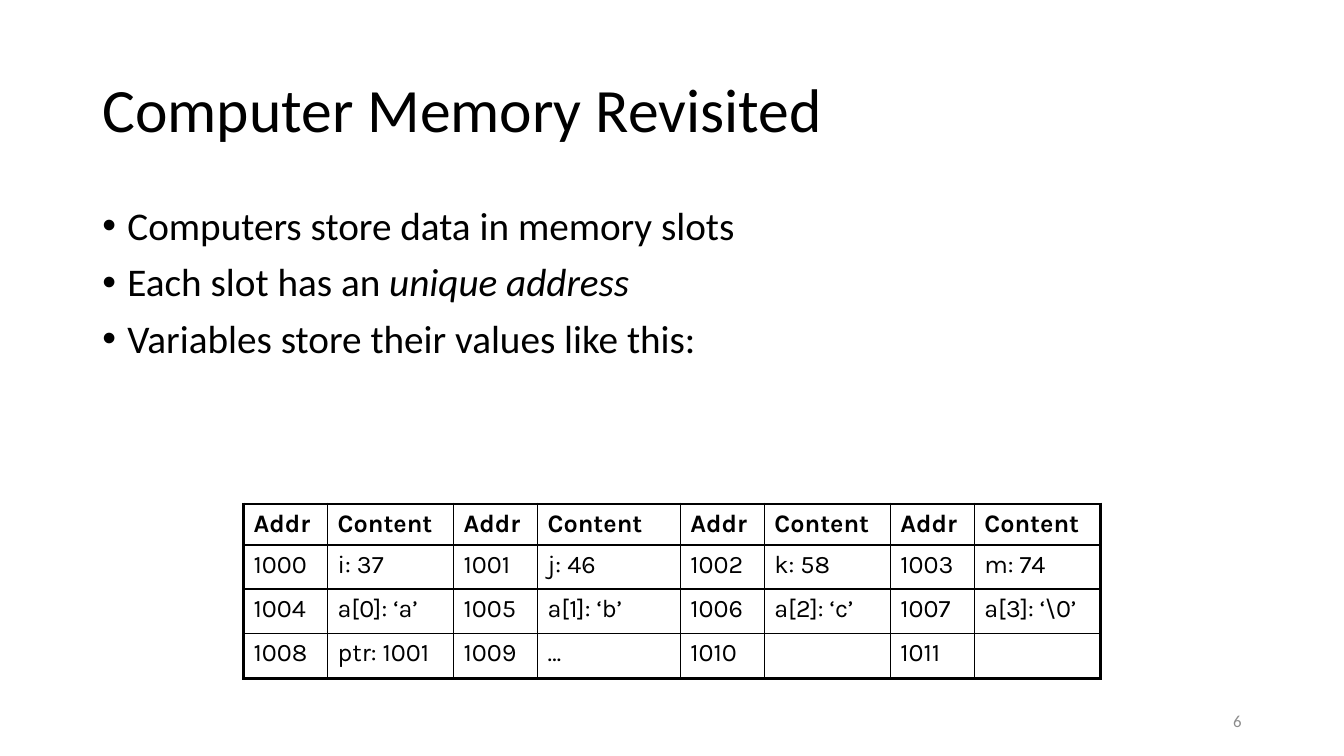
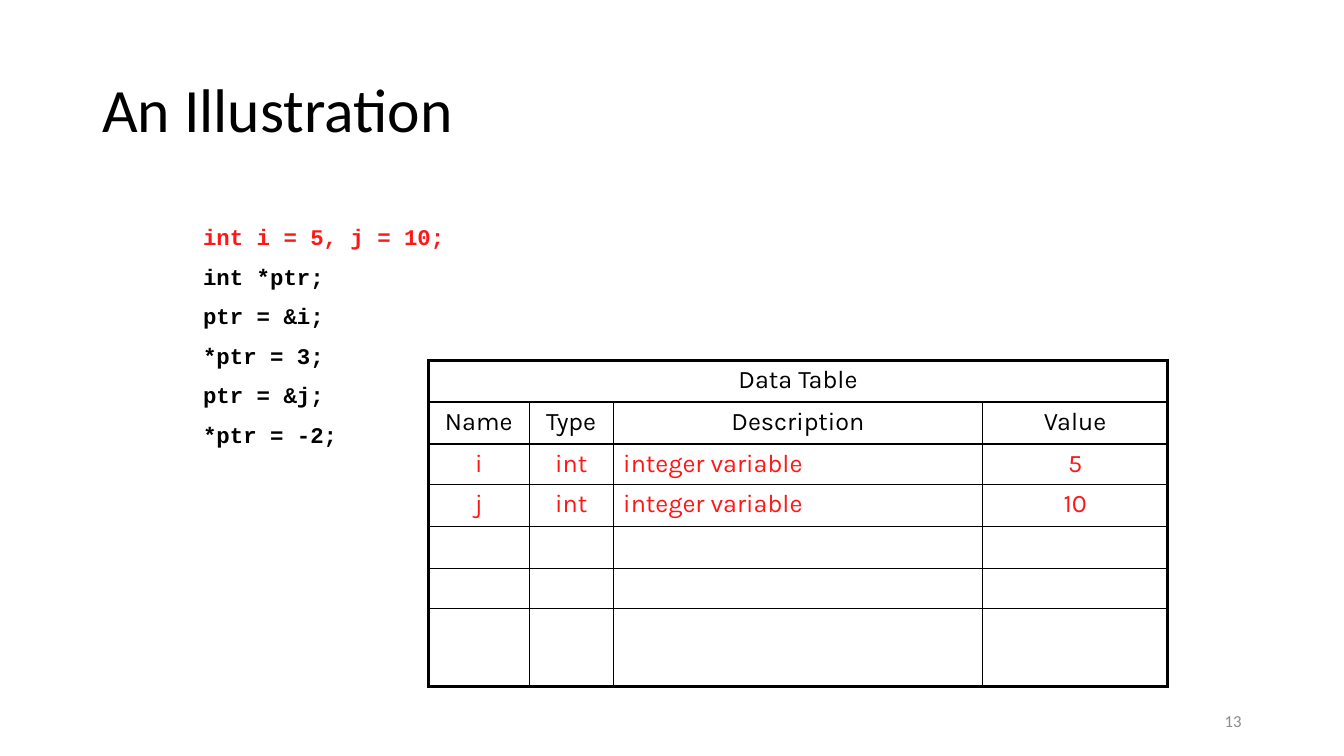
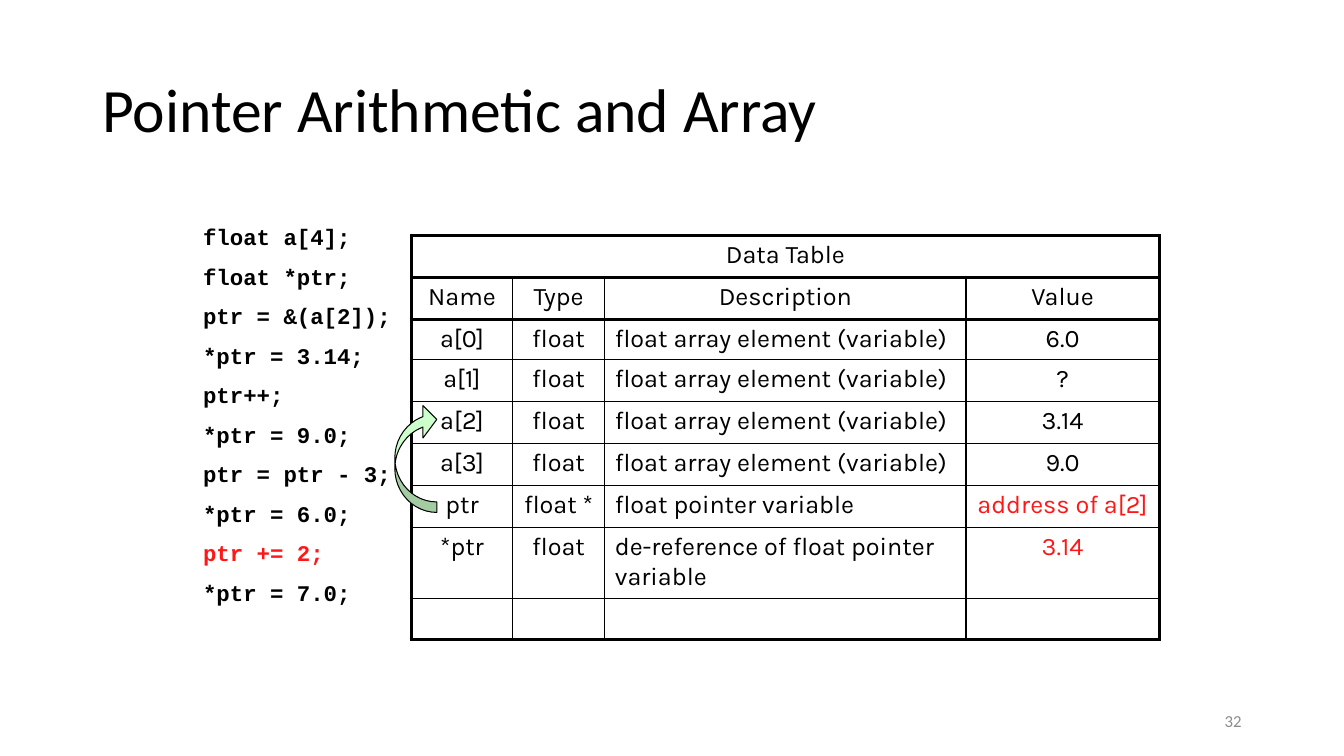
from dataclasses import dataclass

from lxml import etree
from pptx import Presentation
from pptx.dml.color import RGBColor
from pptx.enum.shapes import MSO_SHAPE
from pptx.enum.text import MSO_ANCHOR, PP_ALIGN
from pptx.oxml.ns import qn
from pptx.util import Pt

PX = 9525
TOP, MIDDLE = MSO_ANCHOR.TOP, MSO_ANCHOR.MIDDLE
LEFT, CENTER, RIGHT = PP_ALIGN.LEFT, PP_ALIGN.CENTER, PP_ALIGN.RIGHT
CURVED_ARROW = MSO_SHAPE.CURVED_LEFT_ARROW


@dataclass(frozen=True)
class Theme:
    """Text styles are (font, size, bold); line widths are points."""
    ink: str = "000000"
    accent: str = "FF1717"
    muted: str = "8C8C8C"
    mint: str = "CCFFCC"
    title: tuple = ("Calibri", 44, False)
    body: tuple = ("Calibri", 28, False)
    number: tuple = ("Calibri", 12, False)
    code: tuple = ("Courier New", 16, True)
    cell: tuple = ("Karla", 18, False)
    heading: tuple = ("Karla", 18, True)
    thick: float = 2.25
    thin: float = 1
    outline: float = 0.75


THEME = Theme()


def add_box(slide, place, anchor=TOP):
    """Add an empty wrapping text box and return its text frame."""
    box = slide.shapes.add_textbox(*[length * PX for length in place])
    box.text_frame.word_wrap = True
    box.text_frame.vertical_anchor = anchor
    return box.text_frame


def add_span(paragraph, text, style, color=THEME.ink, italic=False):
    span = paragraph.add_run()
    span.text = text
    span.font.name, size, span.font.bold = style
    span.font.size = Pt(size)
    span.font.italic = italic
    span.font.color.rgb = RGBColor.from_string(color)


DATA_HEADER = [["Data Table", "", "", ""], ["Name", "Type", "Description", "Value"]]
FLOAT_ELEMENT = ["float", "float array element (variable)"]

PAGES = [
    {
        "title": "Computer Memory Revisited",
        "number": 6,
        "bullets": [
            ["Computers store data in memory slots"],
            ["Each slot has an ", "unique address"],
            ["Variables store their values like this:"],
        ],
        "code": [],
        "origin": (232, 480),
        "columns": [80, 120, 80, 136, 80, 120, 80, 120],
        "rows": [39, 42, 42, 43],
        "header_rows": 1,
        "cells": [
            ["Addr", "Content"] * 4,
            ["1000", "i: 37", "1001", "j: 46", "1002", "k: 58", "1003", "m: 74"],
            ["1004", "a[0]: ‘a’", "1005", "a[1]: ‘b’",
             "1006", "a[2]: ‘c’", "1007", "a[3]: ‘\\0’"],
            ["1008", "ptr: 1001", "1009", "…", "1010", "", "1011", ""],
        ],
        "red_cells": [],
    },
    {
        "title": "An Illustration",
        "number": 13,
        "bullets": [],
        "code": ["int i = 5, j = 10;", "int *ptr;", "ptr = &i;", "*ptr = 3;",
                 "ptr = &j;", "*ptr = -2;"],
        "red_line": 0,
        "origin": (408, 343),
        "columns": [96, 80, 352, 176],
        "rows": [40, 40, 38, 40, 40, 38, 74],
        "header_rows": 2,
        "cells": [
            *DATA_HEADER,
            ["i", "int", "integer variable", "5"],
            ["j", "int", "integer variable", "10"],
            *[[""] * 4] * 3,
        ],
        "red_cells": [(row, column) for row in (2, 3) for column in range(4)],
    },
    {
        "title": "Pointer Arithmetic and Array",
        "number": 32,
        "bullets": [],
        "code": ["float a[4];", "float *ptr;", "ptr = &(a[2]);", "*ptr = 3.14;",
                 "ptr++;", "*ptr = 9.0;", "ptr = ptr - 3;", "*ptr = 6.0;",
                 "ptr += 2;", "*ptr = 7.0;"],
        "red_line": 8,
        "origin": (392, 224),
        "columns": [96, 88, 344, 184],
        "rows": [40, 40, 38, 40, 40, 40, 40, 68, 38],
        "header_rows": 2,
        "cells": [
            *DATA_HEADER,
            ["a[0]", *FLOAT_ELEMENT, "6.0"],
            ["a[1]", *FLOAT_ELEMENT, "?"],
            ["a[2]", *FLOAT_ELEMENT, "3.14"],
            ["a[3]", *FLOAT_ELEMENT, "9.0"],
            ["ptr", "float *", "float pointer variable", "address of a[2]"],
            ["*ptr", "float", "de-reference of float pointer variable", "3.14"],
            [""] * 4,
        ],
        "red_cells": [(6, 3), (7, 3)],
    },
]

deck = Presentation()
deck.slide_width, deck.slide_height = 1280 * PX, 720 * PX

for page in PAGES:
    slide = deck.slides.add_slide(deck.slide_layouts[6])

    title = add_box(slide, (88, 38, 1104, 139), MIDDLE).paragraphs[0]
    title.line_spacing = 0.9
    add_span(title, page["title"], THEME.title)

    number = add_box(slide, (904, 667, 288, 38), MIDDLE).paragraphs[0]
    number.alignment = RIGHT
    add_span(number, str(page["number"]), THEME.number, THEME.muted)

    if page["bullets"]:
        frame = add_box(slide, (88, 192, 1104, 457))
        for index, spans in enumerate(page["bullets"]):
            paragraph = frame.add_paragraph() if index else frame.paragraphs[0]
            properties = paragraph._p.get_or_add_pPr()
            properties.set("marL", str(24 * PX))
            properties.set("indent", str(-24 * PX))
            etree.SubElement(properties, qn("a:buFont"), typeface="Arial")
            etree.SubElement(properties, qn("a:buChar"), char="•")
            paragraph.line_spacing = 0.9
            paragraph.space_before = Pt(10 if index else 0)
            for position, text in enumerate(spans):
                add_span(paragraph, text, THEME.body, italic=position == 1)

    if page["code"]:
        frame = add_box(slide, (184, 208, 896, 38 * len(page["code"])))
        for index, text in enumerate(page["code"]):
            paragraph = frame.add_paragraph() if index else frame.paragraphs[0]
            paragraph.space_before = Pt(9 if index else 0)
            color = THEME.accent if index == page["red_line"] else THEME.ink
            add_span(paragraph, text, THEME.code, color)

    columns, rows, header_rows = page["columns"], page["rows"], page["header_rows"]
    left, top = page["origin"]
    table = slide.shapes.add_table(
        len(rows), len(columns),
        left * PX, top * PX, sum(columns) * PX, sum(rows) * PX).table
    table.first_row = table.horz_banding = False
    for column, width in zip(table.columns, columns):
        column.width = width * PX
    for row, height in zip(table.rows, rows):
        row.height = height * PX
    is_data_table = header_rows == 2
    if is_data_table:
        table.cell(0, 0).merge(table.cell(0, len(columns) - 1))

    for row, texts in enumerate(page["cells"]):
        for column, text in enumerate(texts):
            cell = table.cell(row, column)
            cell.fill.background()
            is_header = row < header_rows
            paragraph = cell.text_frame.paragraphs[0]
            centered = is_data_table and (is_header or column != 2)
            paragraph.alignment = CENTER if centered else LEFT
            style = THEME.heading if is_header and not is_data_table else THEME.cell
            is_red = (row, column) in page["red_cells"]
            add_span(paragraph, text, style, THEME.accent if is_red else THEME.ink)

            thick_edges = {
                "a:lnL": column == 0,
                "a:lnR": column == len(columns) - 1 or cell.is_merge_origin,
                "a:lnT": row <= header_rows,
                "a:lnB": is_header or row == len(rows) - 1,
            }
            for position, (edge, is_thick) in enumerate(thick_edges.items()):
                width = Pt(THEME.thick if is_thick else THEME.thin)
                line = etree.Element(qn(edge), w=str(width))
                fill = etree.SubElement(line, qn("a:solidFill"))
                etree.SubElement(fill, qn("a:srgbClr"), val=THEME.ink)
                cell._tc.get_or_add_tcPr().insert(position, line)

# The last slide's arrow leads from ptr to the element it points at.
arrow = slide.shapes.add_shape(CURVED_ARROW, 376 * PX, 384 * PX, 40 * PX, 104 * PX)
arrow.rotation = 180
for index, adjustment in enumerate((0.25, 0.77, 0.33)):
    arrow.adjustments[index] = adjustment
arrow.shadow.inherit = False
arrow.fill.solid()
arrow.fill.fore_color.rgb = RGBColor.from_string(THEME.mint)
arrow.line.color.rgb = RGBColor.from_string(THEME.ink)
arrow.line.width = Pt(THEME.outline)

deck.save("out.pptx")
